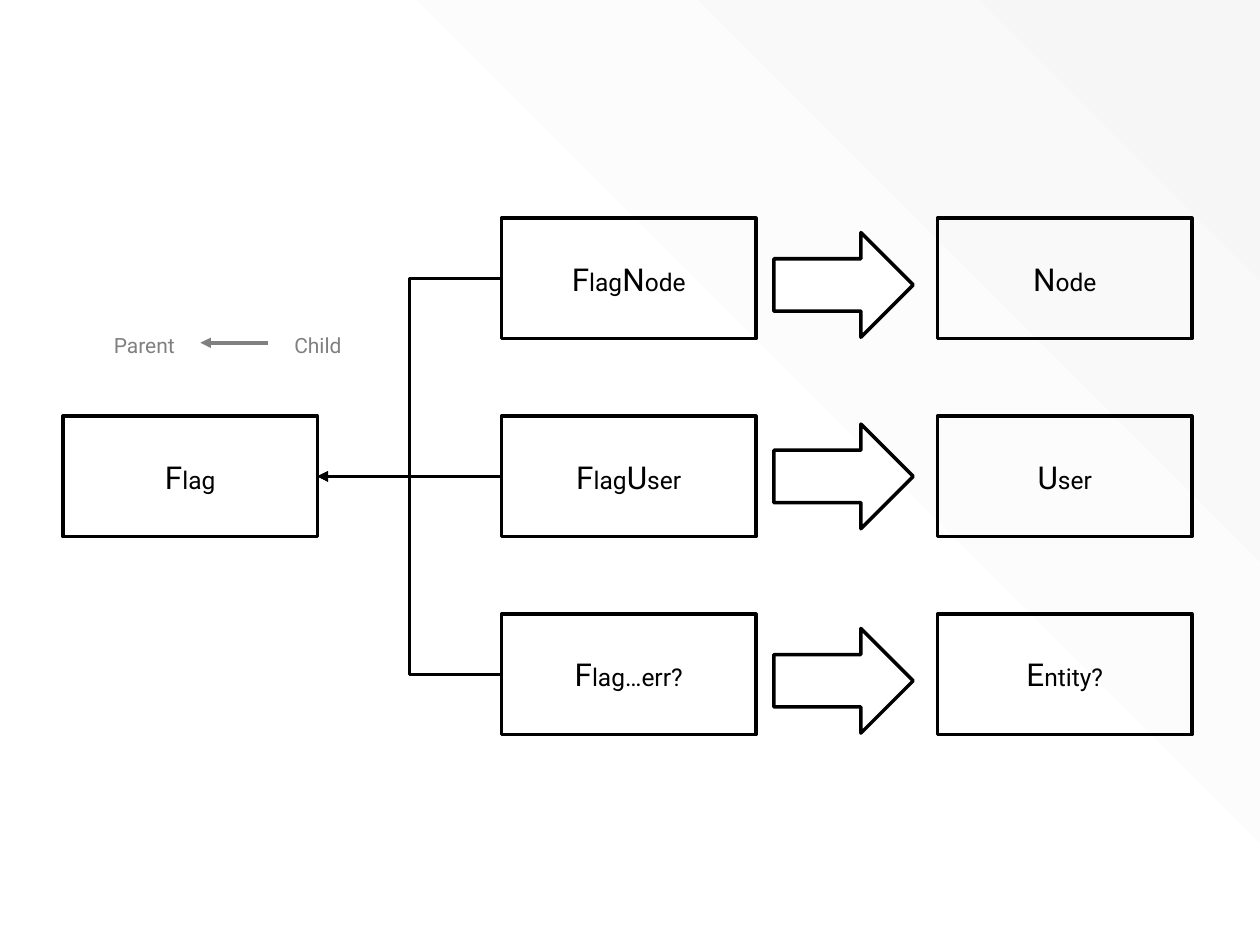
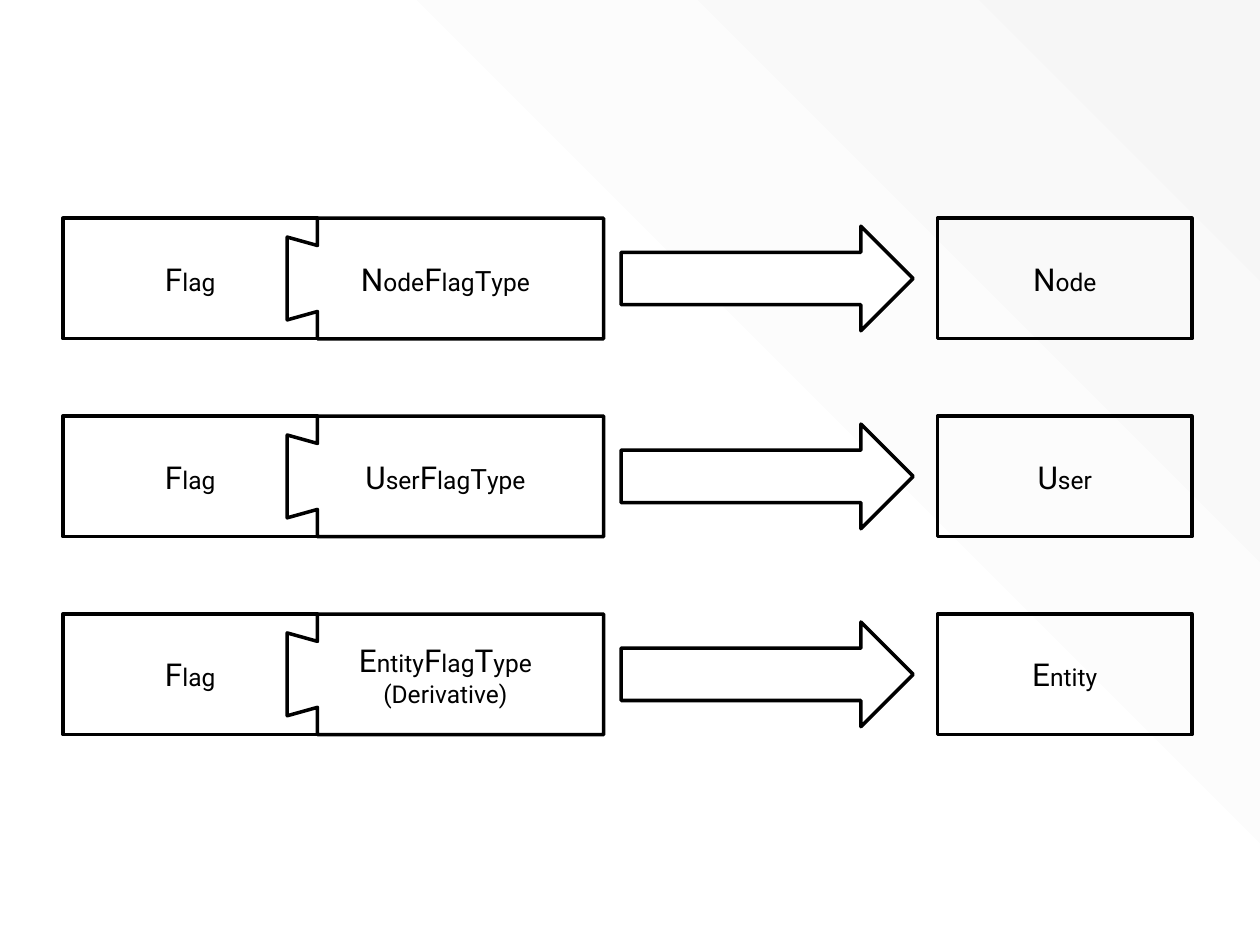
from itertools import groupby

from pptx import Presentation
from pptx.dml.color import RGBColor
from pptx.enum import shapes, text
from pptx.oxml import parse_xml
from pptx.oxml.ns import nsdecls, qn
from pptx.util import Cm, Pt
from lxml import etree

FLAG = "Flag"
SUBCLASSES = [
    {"flag": "FlagNode", "target": "Node", "arrow_drop": 0.13},
    {"flag": "FlagUser", "target": "User", "arrow_drop": 0},
    {"flag": "Flag…err?", "target": "Entity?", "arrow_drop": 0.13},
]
FLAG_TYPES = [
    {"type": "NodeFlagType", "target": "Node", "t_size": 16},
    {"type": "UserFlagType", "target": "User", "t_size": 16},
    {"type": "EntityFlagType", "target": "Entity", "t_size": 18,
     "remark": "(Derivative)"},
]
LEGEND = [("Parent", 1.5), ("Child", 5.0)]

BLACK = RGBColor(0x00, 0x00, 0x00)
GRAY = RGBColor(0x80, 0x80, 0x80)
WHITE = RGBColor(0xFF, 0xFF, 0xFF)
PALE = RGBColor(0xF6, 0xF6, 0xF6)
FONT = "Roboto"

SLIDE_W, SLIDE_H = 25.4, 19.05
BOX_W, BOX_H = 5.13, 2.43
FLAG_X, SUBCLASS_X, TARGET_X = 1.27, 10.11, 18.9
ROW_TOPS = [4.4 + 3.99 * row for row in range(3)]
ARROW_RIGHT, ARROW_H = 18.41, 2.11
TYPE_RIGHT = 12.17
TAB_W, TAB_INSET, TAB_NECK = 0.61, 0.38, 0.55


def style(shape, fill=None, line=BLACK):
    shape.shadow.inherit = False
    if fill is None:
        shape.fill.background()
    else:
        shape.fill.solid()
        shape.fill.fore_color.rgb = fill
    shape.line.color.rgb = line
    shape.line.width = Pt(2)
    return shape


def write(shape, words, size=14, caps=18, t_size=None, color=BLACK,
          anchor=text.MSO_ANCHOR.MIDDLE):
    frame = shape.text_frame
    frame.word_wrap = True
    frame.vertical_anchor = anchor
    paragraph = frame.add_paragraph() if frame.text else frame.paragraphs[0]
    paragraph.alignment = text.PP_ALIGN.CENTER
    for is_capital, letters in groupby(words, str.isupper):
        run = paragraph.add_run()
        run.text = "".join(letters)
        font = run.font
        font.name = FONT
        font.color.rgb = color
        points = caps if is_capital else size
        font.size = Pt(t_size if t_size and run.text == "T" else points)


def add_box(slide, words, left, top):
    box = slide.shapes.add_shape(shapes.MSO_SHAPE.RECTANGLE,
                                 Cm(left), Cm(top), Cm(BOX_W), Cm(BOX_H))
    write(style(box), words)
    return box


def add_block_arrow(slide, left, row_top, drop=0):
    top = row_top + (BOX_H - ARROW_H) / 2 + drop
    arrow = slide.shapes.add_shape(
        shapes.MSO_SHAPE.RIGHT_ARROW,
        Cm(left), Cm(top), Cm(ARROW_RIGHT - left), Cm(ARROW_H))
    style(arrow, fill=WHITE)


def add_line(slide, kind, start=(0, 0), end=(0, 0), color=BLACK):
    line = slide.shapes.add_connector(kind, *map(Cm, start + end))
    line.line.color.rgb = color
    line.line.width = Pt(2)
    etree.SubElement(line.line._get_or_add_ln(), qn("a:tailEnd"),
                     type="triangle")
    etree.SubElement(line._element.spPr, qn("a:effectLst"))
    return line


def add_flag_type(slide, entry, top):
    neck = FLAG_X + BOX_W
    tab = neck - TAB_W
    bottom = top + BOX_H
    outline = [(TYPE_RIGHT, top), (TYPE_RIGHT, bottom), (neck, bottom),
               (neck, bottom - TAB_NECK), (tab, bottom - TAB_INSET),
               (tab, top + TAB_INSET), (neck, top + TAB_NECK)]
    builder = slide.shapes.build_freeform(Cm(neck), Cm(top))
    builder.add_line_segments([(Cm(x), Cm(y)) for x, y in outline])
    piece = style(builder.convert_to_shape(), fill=WHITE)
    write(piece, entry["type"], t_size=entry["t_size"])
    if "remark" in entry:
        write(piece, entry["remark"], caps=14)


def new_slide(deck):
    slide = deck.slides.add_slide(deck.slide_layouts[6])
    backdrop = slide.shapes.add_shape(shapes.MSO_SHAPE.RECTANGLE, 0, 0,
                                      Cm(SLIDE_W), Cm(SLIDE_H))
    style(backdrop, fill=WHITE).line.fill.background()
    solid = backdrop._element.spPr.find(qn("a:solidFill"))
    solid.getparent().replace(solid, parse_xml(
        f'<a:gradFill {nsdecls("a")} rotWithShape="1"><a:gsLst>'
        f'<a:gs pos="49000"><a:srgbClr val="{WHITE}"/></a:gs>'
        f'<a:gs pos="100000"><a:srgbClr val="{PALE}"/></a:gs></a:gsLst>'
        '<a:path path="circle"><a:fillToRect t="100000" r="100000"/></a:path>'
        '</a:gradFill>'))
    return slide


def build_inheritance(deck):
    slide = new_slide(deck)
    parent = add_box(slide, FLAG, FLAG_X, ROW_TOPS[1])
    for row, (entry, top) in enumerate(zip(SUBCLASSES, ROW_TOPS)):
        child = add_box(slide, entry["flag"], SUBCLASS_X, top)
        kind = shapes.MSO_CONNECTOR.STRAIGHT if row == 1 else shapes.MSO_CONNECTOR.ELBOW
        link = add_line(slide, kind)
        link.begin_connect(child, 1)
        link.end_connect(parent, 3)
        add_block_arrow(slide, 15.6, top, entry["arrow_drop"])
        add_box(slide, entry["target"], TARGET_X, top)
    for word, left in LEGEND:
        label = slide.shapes.add_textbox(Cm(left), Cm(6.58), Cm(2.82), Cm(0.77))
        write(label, word, size=12, caps=12, color=GRAY,
              anchor=text.MSO_ANCHOR.TOP)
    add_line(slide, shapes.MSO_CONNECTOR.STRAIGHT, (5.41, 6.91), (4.04, 6.91),
             color=GRAY)


def build_composition(deck):
    slide = new_slide(deck)
    for entry, top in zip(FLAG_TYPES, ROW_TOPS):
        add_box(slide, FLAG, FLAG_X, top)
        add_flag_type(slide, entry, top)
        add_block_arrow(slide, 12.52, top)
        add_box(slide, entry["target"], TARGET_X, top)


def main():
    deck = Presentation()
    deck.slide_width, deck.slide_height = Cm(SLIDE_W), Cm(SLIDE_H)
    build_inheritance(deck)
    build_composition(deck)
    deck.save("out.pptx")


if __name__ == "__main__":
    main()
